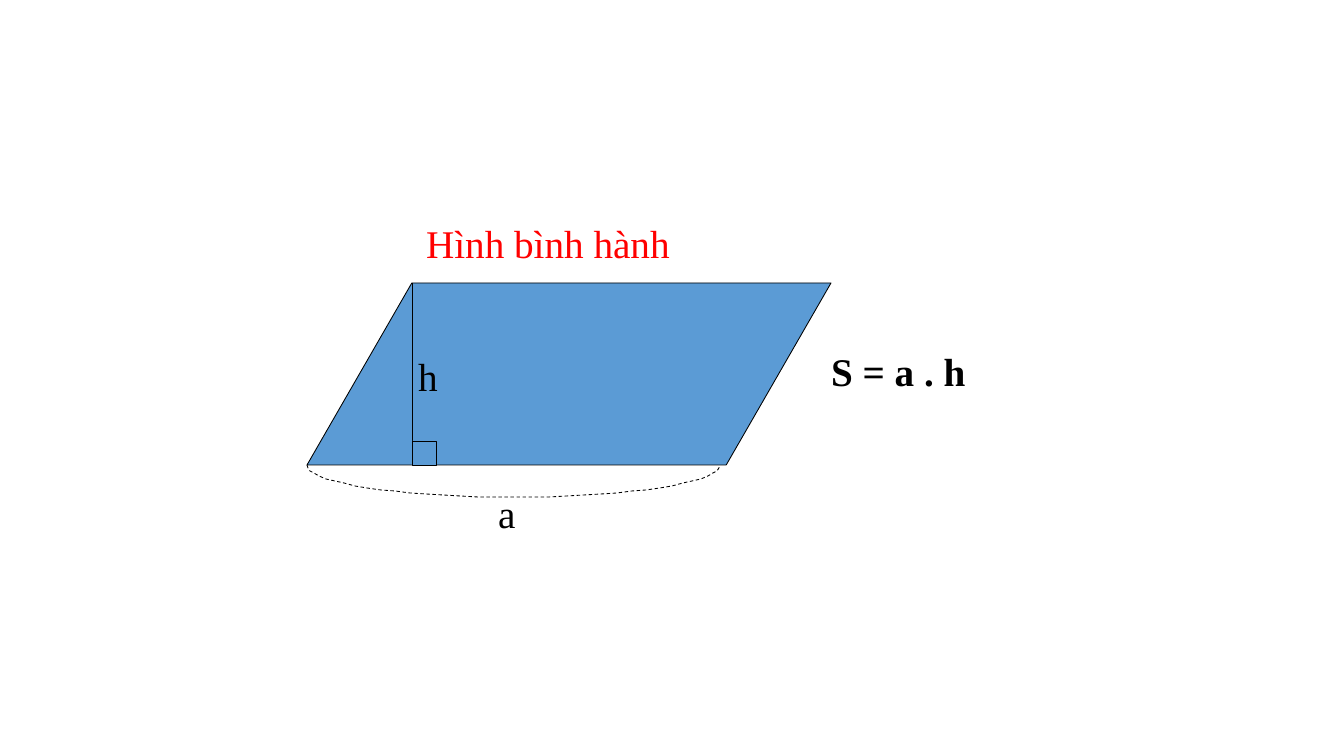
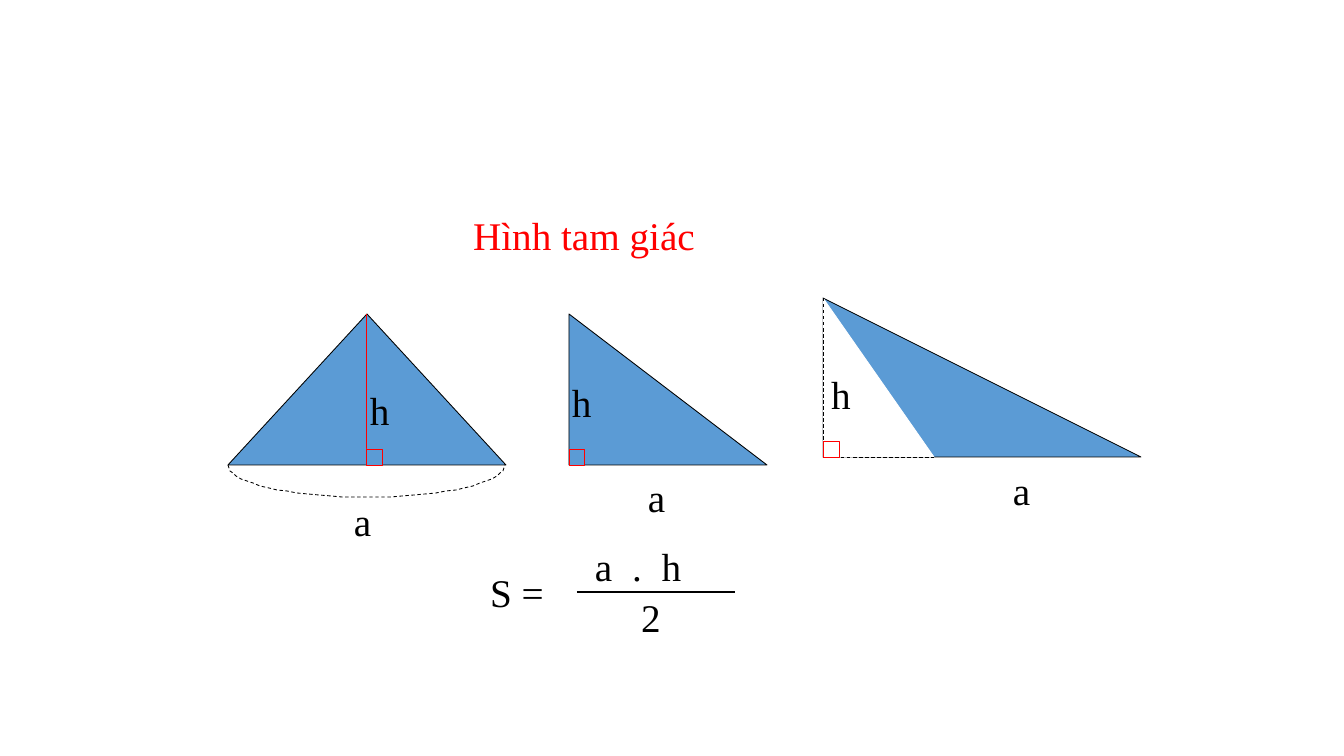
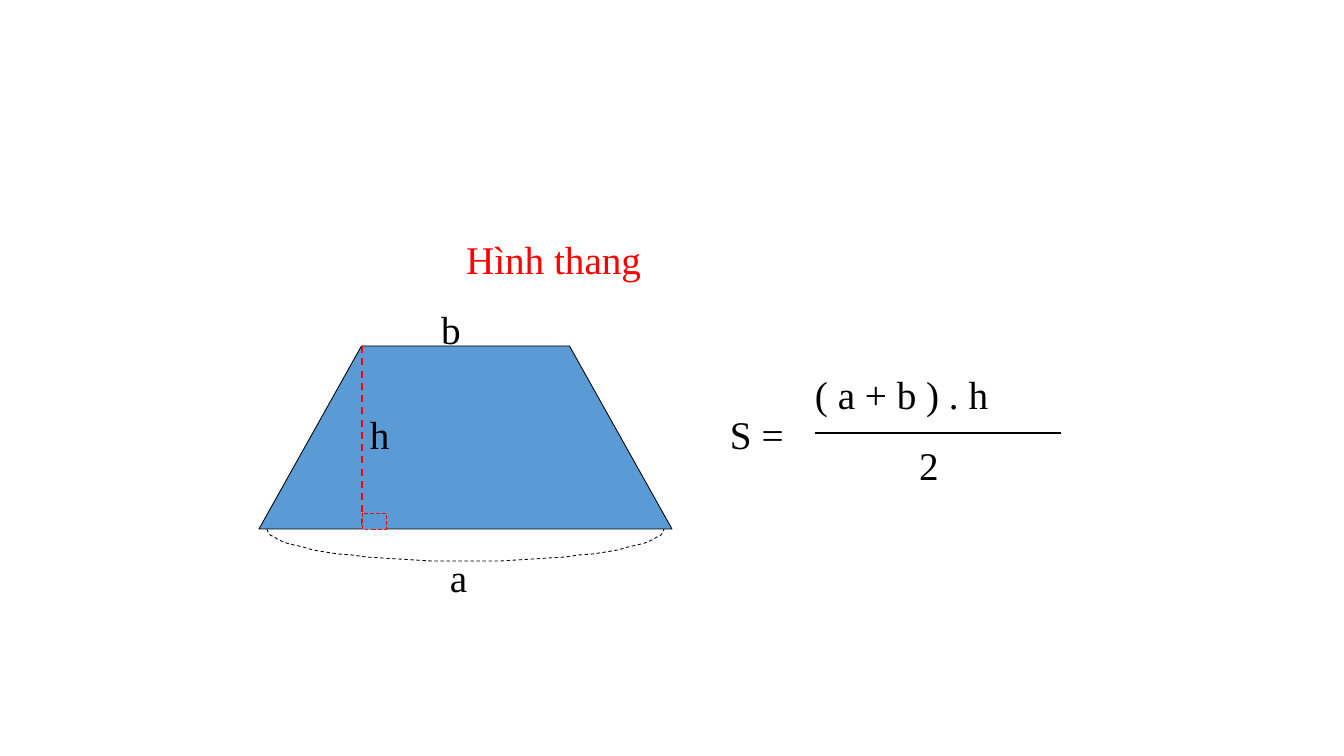
"""Build three slides on the areas of the parallelogram, triangle and trapezoid."""
import math

import lxml.etree
import pptx
import pptx.dml.color
import pptx.enum.dml
import pptx.enum.shapes
import pptx.enum.text
import pptx.oxml.ns
import pptx.util

SHAPES = pptx.enum.shapes.MSO_SHAPE
SCALE = 914400 / 84
THEME = {
    "blue": pptx.dml.color.RGBColor(0x5B, 0x9B, 0xD5),
    "black": pptx.dml.color.RGBColor(0, 0, 0),
    "red": pptx.dml.color.RGBColor(0xFF, 0, 0),
    "white": pptx.dml.color.RGBColor(0xFF, 0xFF, 0xFF),
    "font": {"name": "Times New Roman", "size": pptx.util.Pt(33.6)},
    "thin": pptx.util.Pt(0.75),
    "medium": pptx.util.Pt(1.5),
    "thick": pptx.util.Pt(2.25),
    "solid": pptx.enum.dml.MSO_LINE.SOLID,
    "dash": pptx.enum.dml.MSO_LINE.DASH,
}
FRAME = {
    "word_wrap": True,
    "auto_size": pptx.enum.text.MSO_AUTO_SIZE.NONE,
    "vertical_anchor": pptx.enum.text.MSO_ANCHOR.TOP,
    "margin_left": round(8 * SCALE),
    "margin_right": round(8 * SCALE),
    "margin_top": round(8 * SCALE),
    "margin_bottom": 0,
}
LABEL_HEIGHT = 56
ARC_DEPTH = 32
ARC_STEPS = 36

LESSONS = [
    {
        "title": ("Hình bình hành", 418, 211, 365),
        "figures": [
            (SHAPES.FLOWCHART_DATA, 307, 283, 524, 182, "blue", "black", "solid"),
        ],
        "rules": [(412, 283, 412, 465, "black", "thin", "solid")],
        "corners": [(412, 441, 24, 24, "blue", "black", "solid")],
        "base_arcs": [(307, 720, 465)],
        "labels": [("h", 410, 344, 55), ("a", 490, 481, 64)],
        "formula": [("S = a . h", 823, 339, 230, {"bold": True}, 0)],
    },
    {
        "title": ("Hình tam giác", 465, 203, 437),
        "figures": [
            (SHAPES.RIGHT_TRIANGLE, 569, 314, 198, 151, "blue", "black", "solid"),
            (SHAPES.ISOSCELES_TRIANGLE, 228, 314, 278, 151, "blue", "black", "solid"),
            (SHAPES.RIGHT_TRIANGLE, 823, 298, 318, 159, "blue", "black", "solid"),
            (SHAPES.RIGHT_TRIANGLE, 823, 298, 111, 159, "white", "white", "solid"),
        ],
        "rules": [
            (366, 314, 366, 465, "red", "thin", "solid"),
            (823, 298, 823, 457, "black", "thin", "dash"),
            (823, 457, 934, 457, "black", "thin", "dash"),
            (577, 592, 735, 592, "black", "thick", "solid"),
        ],
        "corners": [
            (366, 449, 16, 16, "blue", "red", "solid"),
            (569, 449, 16, 16, "blue", "red", "solid"),
            (823, 441, 16, 16, "white", "red", "solid"),
        ],
        "base_arcs": [(228, 505, 465)],
        "labels": [
            ("a", 346, 489, 40), ("h", 362, 378, 40), ("h", 564, 370, 40),
            ("a", 640, 465, 40), ("a", 1005, 458, 40), ("h", 823, 362, 63),
        ],
        "formula": [
            ("S =", 482, 560, 103, {}, 0),
            ("a . h", 587, 534, 150, {}, 430),
            ("2", 633, 585, 64, {}, 0),
        ],
    },
    {
        "title": ("Hình thang", 458, 227, 421),
        "figures": [
            (SHAPES.TRAPEZOID, 259, 346, 413, 183, "blue", "black", "solid"),
        ],
        "rules": [
            (362, 346, 362, 529, "red", "medium", "dash"),
            (815, 433, 1061, 433, "black", "thick", "solid"),
        ],
        "corners": [(362, 513, 24, 16, "blue", "red", "dash")],
        "base_arcs": [(267, 664, 529)],
        "labels": [("b", 433, 297, 87), ("a", 442, 545, 64), ("h", 362, 402, 55)],
        "formula": [
            ("S =", 722, 402, 110, {}, 0),
            ("( a + b ) . h", 807, 362, 278, {}, 0),
            ("2", 911, 433, 87, {}, 0),
        ],
    },
]


def outline(drawn, colour, width="thin", dash="solid"):
    """Give a shape or connector its line."""
    drawn.line.color.rgb = THEME[colour]
    drawn.line.width = THEME[width]
    drawn.line.dash_style = THEME[dash]


def write(box, text, colour, extra):
    """Put one formatted line of text in a box and return its run."""
    for key, value in FRAME.items():
        setattr(box.text_frame, key, value)
    paragraph = box.text_frame.paragraphs[0]
    paragraph.alignment = pptx.enum.text.PP_ALIGN.LEFT
    run = paragraph.add_run()
    run.text = text
    run.font.color.rgb = THEME[colour]
    for key, value in {**THEME["font"], **extra}.items():
        setattr(run.font, key, value)
    return run


deck = pptx.Presentation()
deck.slide_width = pptx.util.Inches(16)
deck.slide_height = pptx.util.Inches(9)

for lesson in LESSONS:
    slide = deck.slides.add_slide(deck.slide_layouts[5])
    heading, *place = lesson["title"]
    title = slide.shapes.title
    for side, length in zip(("left", "top", "width", "height"), (*place, LABEL_HEIGHT)):
        setattr(title, side, round(length * SCALE))
    write(title, heading, "red", {})

    for preset, *place, fill, edge, dash in lesson["figures"]:
        figure = slide.shapes.add_shape(preset, *(round(n * SCALE) for n in place))
        figure.shadow.inherit = False
        figure.fill.solid()
        figure.fill.fore_color.rgb = THEME[fill]
        outline(figure, edge, dash=dash)
        if preset == SHAPES.TRAPEZOID:
            figure.adjustments[0] = 0.56

    for *ends, colour, width, dash in lesson["rules"]:
        rule = slide.shapes.add_connector(
            pptx.enum.shapes.MSO_CONNECTOR.STRAIGHT, *(round(n * SCALE) for n in ends)
        )
        outline(rule, colour, width, dash)
        lxml.etree.SubElement(
            rule.line._get_or_add_ln().getparent(), pptx.oxml.ns.qn("a:effectLst")
        )

    for *place, fill, edge, dash in lesson["corners"]:
        corner = slide.shapes.add_shape(
            SHAPES.RECTANGLE, *(round(n * SCALE) for n in place)
        )
        corner.shadow.inherit = False
        corner.fill.solid()
        corner.fill.fore_color.rgb = THEME[fill]
        outline(corner, edge, dash=dash)

    for left, right, base in lesson["base_arcs"]:
        radius = (right - left) / 2
        turns = [math.pi * step / ARC_STEPS for step in range(1, ARC_STEPS + 1)]
        points = [
            (left + radius * (1 - math.cos(turn)), base + ARC_DEPTH * math.sin(turn))
            for turn in turns
        ]
        builder = slide.shapes.build_freeform(left, base, scale=SCALE)
        builder.add_line_segments(points, close=False)
        base_arc = builder.convert_to_shape()
        base_arc.shadow.inherit = False
        base_arc.fill.background()
        outline(base_arc, "black", dash="dash")

    labels = [(*label, {}, 0) for label in lesson["labels"]]
    for text, *place, extra, spacing in labels + lesson["formula"]:
        label = slide.shapes.add_textbox(
            *(round(n * SCALE) for n in (*place, LABEL_HEIGHT))
        )
        run = write(label, text, "black", extra)
        if spacing:
            run.font._element.set("spc", str(spacing))

deck.save("out.pptx")
